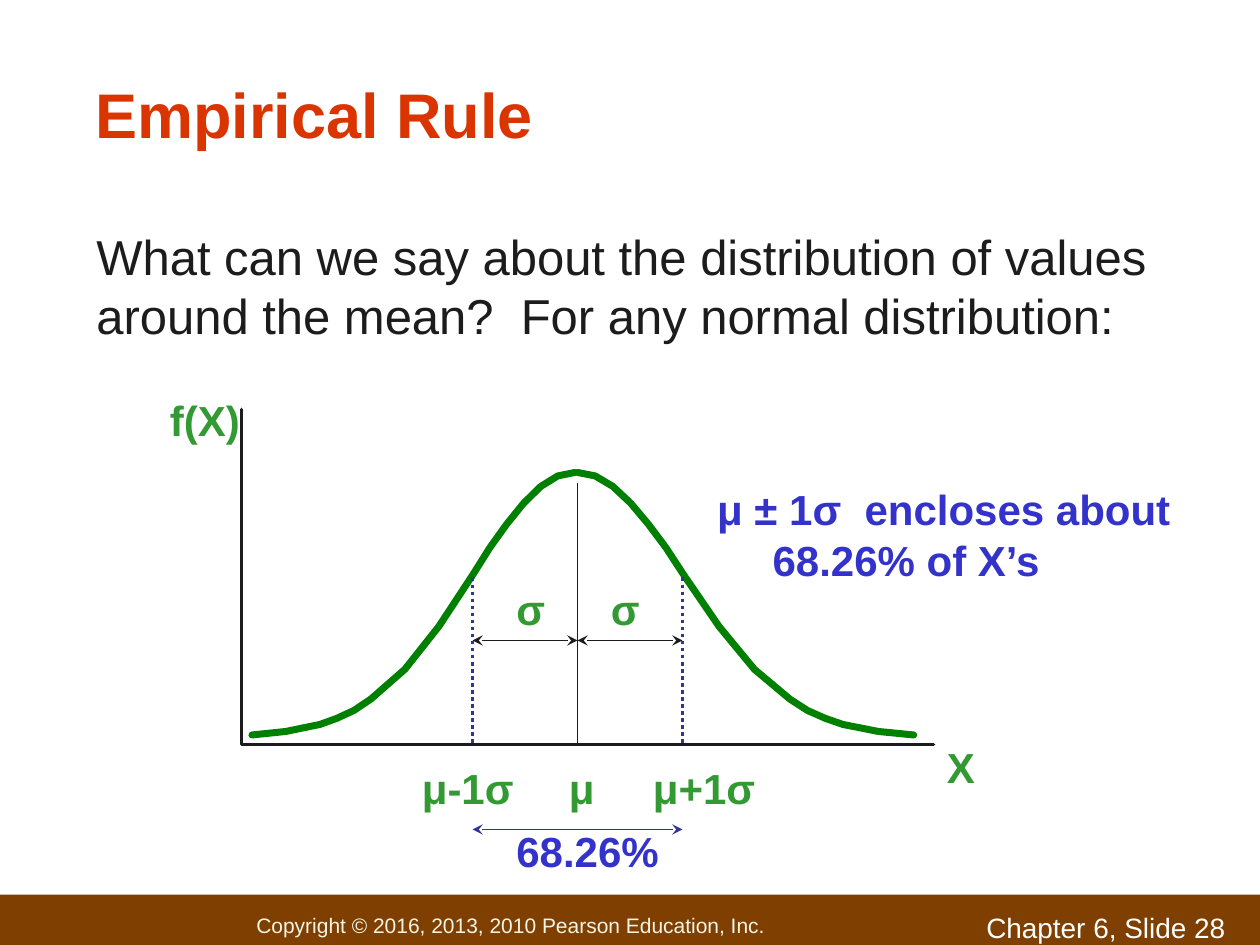
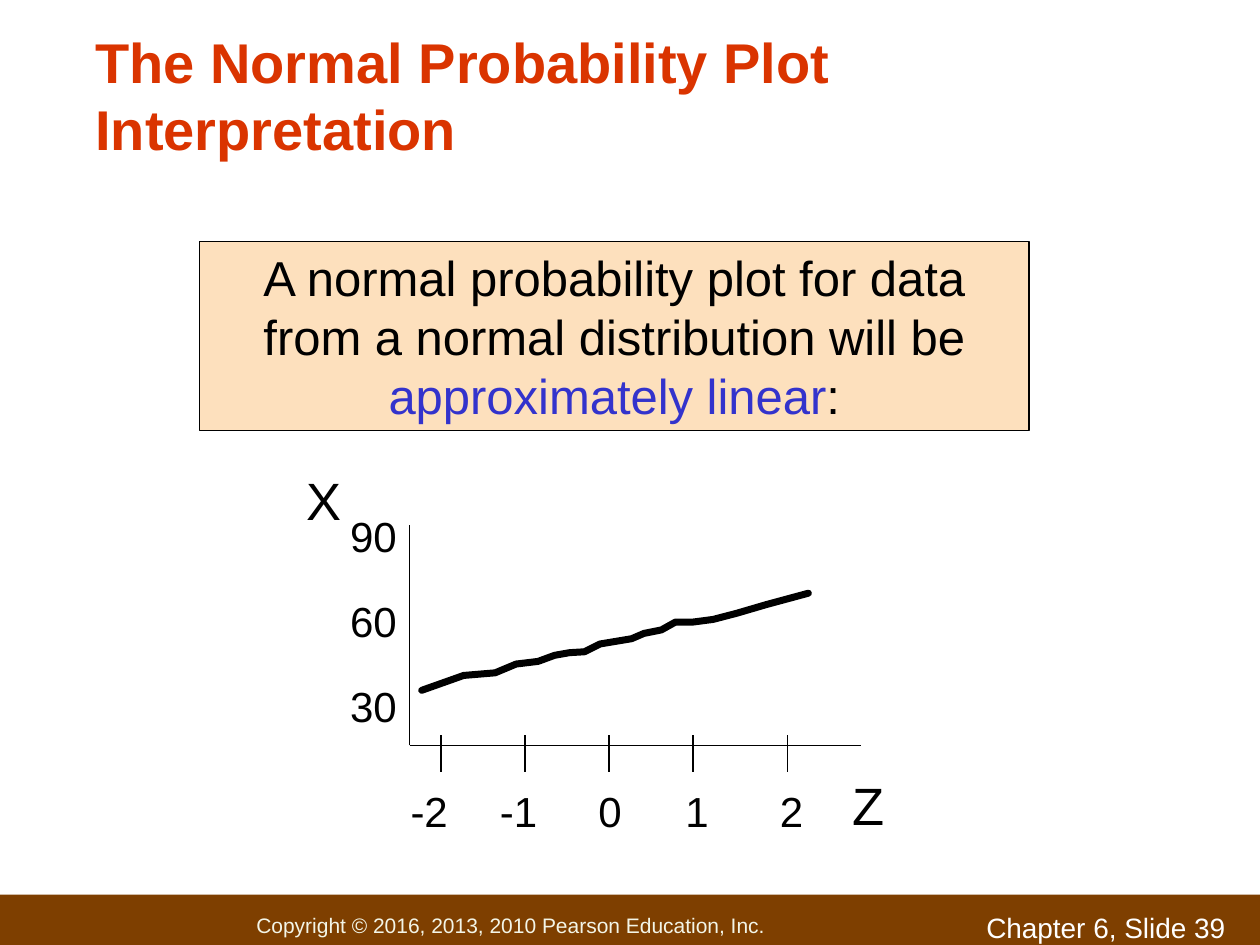
from dataclasses import dataclass

from lxml import etree
from pptx import Presentation
from pptx import util as u
from pptx.dml.color import RGBColor
from pptx.enum import dml, shapes, text
from pptx.oxml import ns

FONT = "Arial"
WHITE, BLACK, INK = "FFFFFF", "000000", "1C1C1C"
BROWN, CREAM, PEACH, RED = "7E3F00", "F3F5E7", "FDE0BD", "DA3400"
GREEN, CURVE_GREEN, BLUE, NAVY = "339933", "008000", "3333CC", "333399"


@dataclass
class Label:
    words: str
    left: float
    top: float
    width: float
    color: str = BLACK
    bold: bool = False
    size: float = 24
    height: float = 0


@dataclass
class Rule:
    start: tuple[float, float]
    end: tuple[float, float]
    color: str = BLACK
    weight: float = 1
    dotted: bool = False
    arrows: bool = False


def rgb(color: str) -> RGBColor:
    return RGBColor.from_string(color)


def style(paragraph, size: float, color: str, bold: bool = False) -> None:
    paragraph.font.name = FONT
    paragraph.font.size = u.Pt(size)
    paragraph.font.bold = bold
    paragraph.font.color.rgb = rgb(color)


def place(shape, left: float, top: float, width: float, height: float) -> None:
    shape.left, shape.top = u.Pt(left), u.Pt(top)
    shape.width, shape.height = u.Pt(width), u.Pt(height)


def add_child(parent, tag: str, **attributes: str) -> None:
    etree.SubElement(parent, ns.qn(tag), **attributes)


def outline(shape):
    return shape._element.spPr.find(ns.qn("a:ln"))


def draw_label(slide, label: Label) -> None:
    height = label.height or label.size * 1.2 + 7.2
    shape = slide.shapes.add_textbox(
        u.Pt(label.left), u.Pt(label.top), u.Pt(label.width), u.Pt(height))
    shape.text_frame.word_wrap = True
    paragraph = shape.text_frame.paragraphs[0]
    paragraph.text = label.words
    style(paragraph, label.size, label.color, label.bold)


def draw_rule(slide, rule: Rule) -> None:
    connector = slide.shapes.add_connector(
        shapes.MSO_CONNECTOR.STRAIGHT, *map(u.Pt, rule.start + rule.end))
    connector.line.color.rgb = rgb(rule.color)
    connector.line.width = u.Pt(rule.weight)
    if rule.dotted:
        connector.line.dash_style = dml.MSO_LINE.ROUND_DOT
    if rule.arrows:
        for tag in ("a:headEnd", "a:tailEnd"):
            add_child(outline(connector), tag, type="stealth")
    add_child(connector._element.spPr, "a:effectLst")


def draw_path(slide, points: list[tuple[float, float]], color: str, weight: float) -> None:
    corners = [(u.Pt(x), u.Pt(y)) for x, y in points]
    builder = slide.shapes.build_freeform(*corners[0])
    builder.add_line_segments(corners[1:], close=False)
    shape = builder.convert_to_shape()
    shape.fill.background()
    shape.line.color.rgb = rgb(color)
    shape.line.width = u.Pt(weight)
    shape.shadow.inherit = False
    outline(shape).set("cap", "rnd")


def draw_box(slide, left: float, top: float, width: float, height: float, fill: str):
    shape = slide.shapes.add_shape(
        shapes.MSO_SHAPE.RECTANGLE, u.Pt(left), u.Pt(top), u.Pt(width), u.Pt(height))
    shape.shadow.inherit = False
    shape.fill.solid()
    shape.fill.fore_color.rgb = rgb(fill)
    shape.line.fill.background()
    return shape


def start_slide(presentation, layout: int, title: str, title_size: float,
                title_width: float, title_height: float, number: int):
    slide = presentation.slides.add_slide(presentation.slide_layouts[layout])

    band = draw_box(slide, 0, 511.2, 720, 35.3, BROWN)
    frame = band.text_frame
    frame.margin_left = u.Pt(146.5)
    frame.margin_top = frame.margin_right = frame.margin_bottom = 0
    frame.word_wrap = False
    paragraph = frame.paragraphs[0]
    paragraph.text = "Copyright © 2016, 2013, 2010 Pearson Education, Inc."
    paragraph.alignment = text.PP_ALIGN.LEFT
    style(paragraph, 12, CREAM)
    draw_label(slide, Label(f"Chapter 6, Slide {number}", 556.5, 517, 168, WHITE,
                            size=16, height=19))

    heading = slide.shapes.title
    place(heading, 48, 18, title_width, title_height)
    frame = heading.text_frame
    frame.text = title
    frame.auto_size = text.MSO_AUTO_SIZE.NONE
    frame.vertical_anchor = text.MSO_ANCHOR.BOTTOM
    frame.margin_left = frame.margin_right = u.Pt(6.5)
    paragraph = frame.paragraphs[0]
    paragraph.alignment = text.PP_ALIGN.LEFT
    style(paragraph, title_size, RED, True)
    return slide


def build_empirical_rule(presentation) -> None:
    slide = start_slide(presentation, 1, "Empirical Rule", 36, 534, 72, 28)

    body = slide.placeholders[1]
    place(body, 390, 272.3, 330, 82)
    frame = body.text_frame
    frame.text = "μ ± 1σ  encloses about 68.26% of X’s"
    frame.auto_size = text.MSO_AUTO_SIZE.NONE
    frame.margin_left = frame.margin_right = u.Pt(6.5)
    paragraph = frame.paragraphs[0]
    properties = paragraph._p.get_or_add_pPr()
    properties.set("marL", str(u.Pt(45)))
    properties.set("indent", str(u.Pt(-31.7)))
    add_child(properties, "a:buNone")
    paragraph.space_before = u.Pt(0)
    paragraph.line_spacing = 1.01
    style(paragraph, 24, BLUE, True)

    draw_path(slide, [(138, 234), (138, 425.5), (533.5, 425.5)], INK, 2)
    bell = [(19, 420), (17, 418), (16, 416), (15, 414), (14, 410.5), (13, 406),
            (12, 399.5), (10, 382.5), (8, 358), (6, 328.5), (5, 313), (4, 299.5),
            (3, 287.5), (2, 278), (1, 272), (0, 270)]
    for peak, step in ((330, 10.11), (328.5, -9.71)):
        draw_path(slide, [(peak + step * count, y) for count, y in bell], CURVE_GREEN, 4)

    mean, low, high, base = 330, 270, 390, 426
    for rule in (
        Rule((mean, 276), (mean, base), INK),
        Rule((low, 330), (low, base), NAVY, 2, dotted=True),
        Rule((high, 330), (high, base), NAVY, 2, dotted=True),
        Rule((low, 366), (mean, 366), INK, arrows=True),
        Rule((mean, 366), (high, 366), INK, arrows=True),
        Rule((low, 474), (high, 474), NAVY, arrows=True),
    ):
        draw_rule(slide, rule)

    for label in (
        Label("f(X)", 90, 222, 58, GREEN, True),
        Label("X", 534, 420, 32, GREEN, True),
        Label("μ", 318, 432, 37.5, GREEN, True),
        Label("μ+1σ", 366, 432, 84, GREEN, True),
        Label("μ-1σ", 234, 432, 72, GREEN, True),
        Label("σ", 342, 330, 24, GREEN, True),
        Label("σ", 288, 330, 24, GREEN, True),
        Label("68.26%", 288, 468, 100, BLUE, True),
        Label("What can we say about the distribution of values around the mean?"
              "  For any normal distribution:", 48, 126, 624, INK, size=28, height=75),
    ):
        draw_label(slide, label)


def build_probability_plot(presentation) -> None:
    slide = start_slide(presentation, 5, "The Normal Probability Plot\vInterpretation",
                        32, 624, 78, 39)

    statement = draw_box(slide, 114, 138, 474, 108, PEACH)
    statement.line.color.rgb = rgb(BLACK)
    statement.line.width = u.Pt(1)
    statement.text_frame.word_wrap = True
    statement.text_frame.vertical_anchor = text.MSO_ANCHOR.TOP
    paragraph = statement.text_frame.paragraphs[0]
    paragraph.alignment = text.PP_ALIGN.CENTER
    style(paragraph, 28, BLACK)
    for words, color in (
        ("A normal probability plot for data from a normal distribution will be ", BLACK),
        ("approximately linear", BLUE),
        (":", BLACK),
    ):
        run = paragraph.add_run()
        run.text = words
        run.font.color.rgb = rgb(color)

    origin = (234, 426)
    draw_rule(slide, Rule(origin, (492, 426)))
    draw_rule(slide, Rule(origin, (234, 300)))
    for x in (252, 300, 348, 396, 450):
        draw_rule(slide, Rule((x, 441), (x, 420)))

    draw_path(slide, [
        (241, 394.5), (265, 386), (283, 384.5), (295, 379.5), (307.5, 378),
        (317, 374.5), (325.5, 373), (334, 372.5), (343, 368), (352, 366.5),
        (361, 365), (368, 362), (378, 360), (386, 355.5), (396, 355.5),
        (407.5, 354), (421, 350.5), (438, 345.5), (462, 339)], BLACK, 4)

    for row, value in enumerate(("90", "60", "30")):
        draw_label(slide, Label(value, 193, 288 + 48.6 * row, 44))
    for value, left in (("-2", 227.5), ("-1", 278.6), ("0", 334.8),
                        ("1", 384.5), ("2", 438.5)):
        draw_label(slide, Label(value, left, 445.5, 40))
    draw_label(slide, Label("Z", 480, 438, 36, size=30))
    draw_label(slide, Label("X", 168, 264, 36, size=30))


def main() -> None:
    presentation = Presentation()
    presentation.slide_width, presentation.slide_height = u.Pt(720), u.Pt(540)
    build_empirical_rule(presentation)
    build_probability_plot(presentation)
    presentation.save("out.pptx")


if __name__ == "__main__":
    main()
